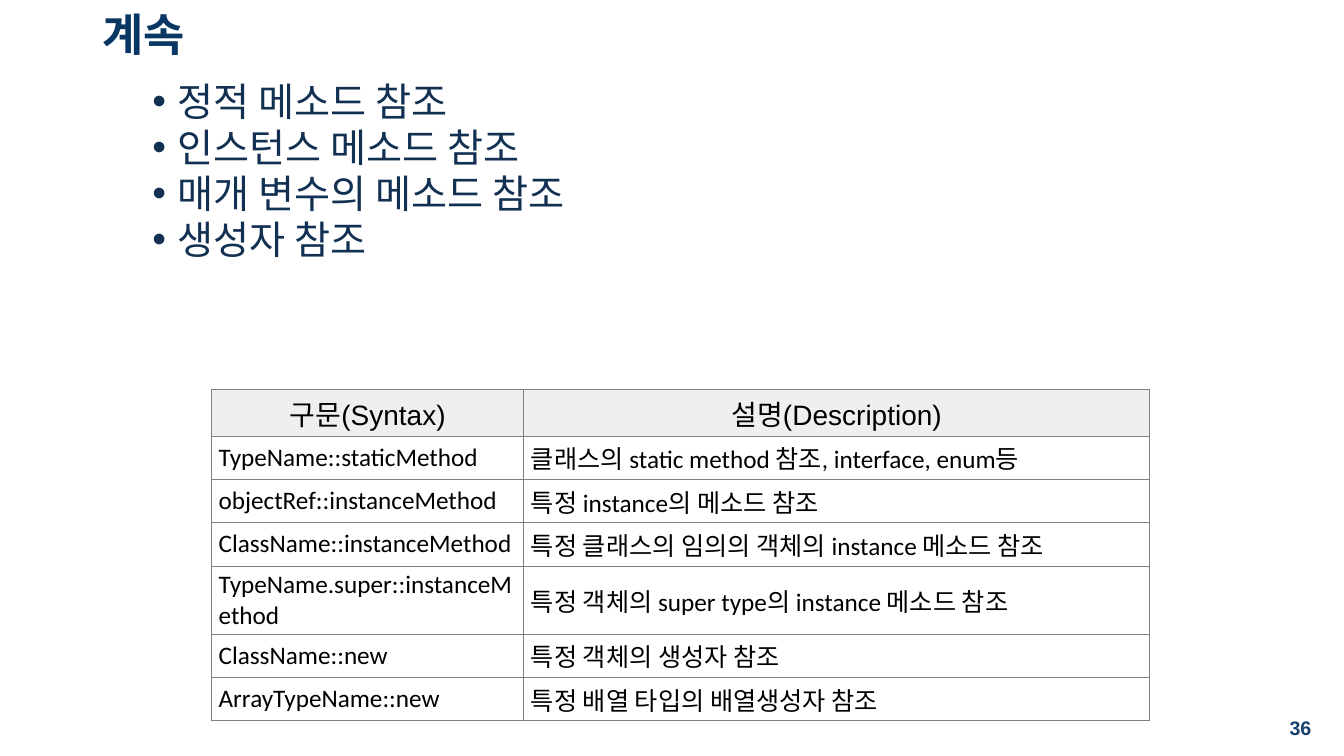
import pptx
import pptx.util
import pptx.dml.color
import pptx.enum.text
import pptx.oxml.ns
from lxml import etree

Cm, Pt = pptx.util.Cm, pptx.util.Pt
ALIGN = pptx.enum.text.PP_ALIGN
MIDDLE = pptx.enum.text.MSO_ANCHOR.MIDDLE

# Content
TITLE = "계속"
POINTS = ["정적 메소드 참조", "인스턴스 메소드 참조", "매개 변수의 메소드 참조", "생성자 참조"]
ROWS = [
    ("구문(Syntax)", "설명(Description)"),
    ("TypeName::staticMethod", "클래스의 static method 참조, interface, enum등"),
    ("objectRef::instanceMethod", "특정 instance의 메소드 참조"),
    ("ClassName::instanceMethod", "특정 클래스의 임의의 객체의 instance 메소드 참조"),
    ("TypeName.super::instanceMethod", "특정 객체의 super type의 instance 메소드 참조"),
    ("ClassName::new", "특정 객체의 생성자 참조"),
    ("ArrayTypeName::new", "특정 배열 타입의 배열생성자 참조"),
]
PAGE = "36"
WIDTHS = [7.87, 15.77]
HEIGHTS = [1.18, 1.09, 1.09, 1.09, 1.72, 1.09, 1.09]
COLORS = {"title": "083763", "body": "113052", "page": "17406D", "cell": "000000",
          "head": "EFEFEF", "row": "FFFFFF", "edge": "808080"}


def style(para, size, color, face="Arial", bold=False, align=ALIGN.LEFT):
    font = para.font
    font.size, font.name, font.bold = Pt(size), face, bold
    font.color.rgb = pptx.dml.color.RGBColor.from_string(COLORS[color])
    para.alignment = align


def add_text(left, top, width, height, lines, anchor=None):
    box = slide.shapes.add_textbox(Cm(left), Cm(top), Cm(width), Cm(height))
    frame = box.text_frame
    frame.word_wrap = True
    frame.text = "\n".join(lines)
    if anchor is not None:
        frame.vertical_anchor = anchor
    return frame.paragraphs


def child(parent, tag, **attrs):
    return etree.SubElement(parent, pptx.oxml.ns.qn(tag), attrs)


def add_edges(cell):
    props = cell._tc.get_or_add_tcPr()
    for spot, side in enumerate(("a:lnL", "a:lnR", "a:lnT", "a:lnB")):
        line = child(props, side, w=str(Pt(0.6)))
        child(child(line, "a:solidFill"), "a:srgbClr", val=COLORS["edge"])
        props.insert(spot, line)  # edges come before the fill


deck = pptx.Presentation()
deck.slide_width, deck.slide_height = Cm(33.87), Cm(19.05)
slide = deck.slides.add_slide(deck.slide_layouts[6])

# Title
head = add_text(2.33, 0.18, 29.21, 1.53, [TITLE], MIDDLE)[0]
style(head, 32, "title", bold=True)
head.line_spacing = 0.9

# Bullet list
for para in add_text(2.33, 2.02, 29.21, 15.54, POINTS):
    style(para, 28, "body")
    para.space_before = Pt(5)
    para.line_spacing = 0.83
    props = para._p.get_or_add_pPr()
    props.set("marL", str(Cm(1.9)))
    props.set("indent", str(Cm(-0.64)))
    child(props, "a:buFont", typeface="Arial")
    child(props, "a:buChar", char="•")
    props.append(props.find(pptx.oxml.ns.qn("a:defRPr")))  # must stay last

# Table
grid = slide.shapes.add_table(len(ROWS), len(WIDTHS), Cm(5.33), Cm(9.81),
                              Cm(sum(WIDTHS)), Cm(sum(HEIGHTS))).table
for col, width in zip(grid.columns, WIDTHS):
    col.width = Cm(width)
for r, (row, height) in enumerate(zip(ROWS, HEIGHTS)):
    grid.rows[r].height = Cm(height)
    for c, text in enumerate(row):
        cell = grid.cell(r, c)
        cell.text = text
        cell.vertical_anchor = MIDDLE
        cell.margin_left = cell.margin_right = Cm(0.18)
        cell.margin_top = cell.margin_bottom = Cm(0.08)
        cell.fill.solid()
        shade = COLORS["row" if r else "head"]
        cell.fill.fore_color.rgb = pptx.dml.color.RGBColor.from_string(shade)
        add_edges(cell)
        para = cell.text_frame.paragraphs[0]
        if r:
            style(para, 18, "cell", "Calibri")
        else:
            style(para, 20, "cell", align=ALIGN.CENTER)

# Page number
page = add_text(31.55, 17.83, 1.75, 1.02, [PAGE], MIDDLE)[0]
style(page, 14, "page", bold=True, align=ALIGN.RIGHT)

deck.save("out.pptx")
